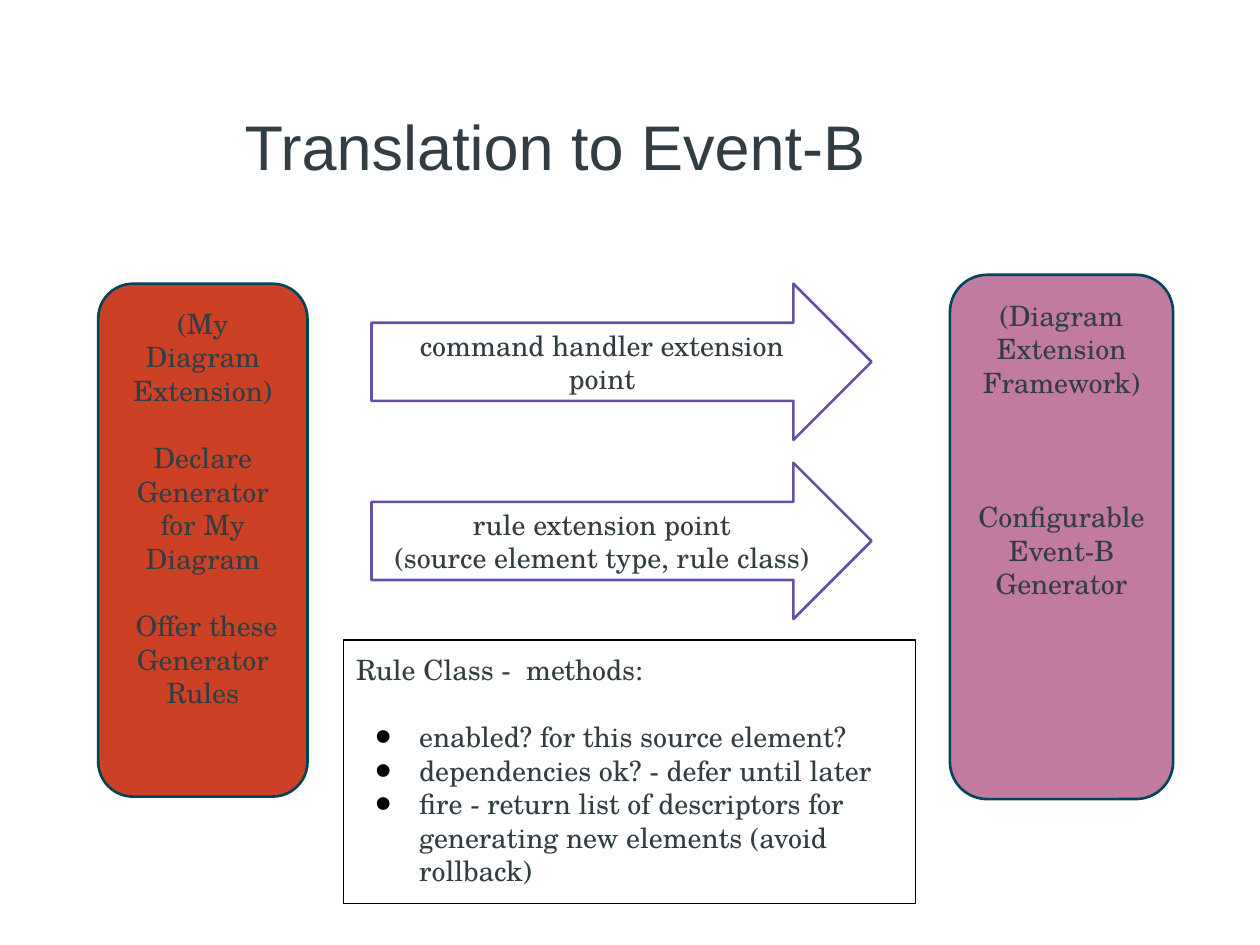
from dataclasses import dataclass

from lxml import etree
from pptx import Presentation
from pptx.dml.color import RGBColor
from pptx.enum import shapes, text
from pptx.oxml.ns import qn
from pptx.util import Cm, Pt


@dataclass(frozen=True)
class Theme:
    ink: str = "323D43"
    black: str = "000000"
    white: str = "FFFFFF"
    red: str = "CC4125"
    pink: str = "C27BA0"
    card_line: str = "014359"
    arrow_line: str = "674EA7"
    title_font: str = "Arial"
    body_font: str = "TeX Gyre Schola"
    title_size: float = 36
    body_size: float = 16
    blank_line: float = 19.2


T = Theme()
CENTER, LEFT = text.PP_ALIGN.CENTER, text.PP_ALIGN.LEFT
TOP, MIDDLE, BOTTOM = (text.MSO_ANCHOR.TOP, text.MSO_ANCHOR.MIDDLE,
                       text.MSO_ANCHOR.BOTTOM)


def place(sp, box):
    sp.left, sp.top, sp.width, sp.height = (Cm(v) for v in box)


def outline(sp, color, width):
    sp.line.color.rgb = RGBColor.from_string(color)
    sp.line.width = Pt(width)


def write(sp, lines, align, anchor, gaps=None, font=T.body_font, size=T.body_size):
    tf = sp.text_frame
    tf.word_wrap = True
    tf.auto_size = text.MSO_AUTO_SIZE.NONE
    tf.vertical_anchor = anchor
    tf.margin_left = tf.margin_right = tf.margin_top = tf.margin_bottom = Cm(0.25)
    for i, line in enumerate(lines):
        p = tf.paragraphs[0] if i == 0 else tf.add_paragraph()
        p.alignment = align
        p.space_before = Pt(T.blank_line * (gaps or {}).get(i, 0))
        p.space_after = Pt(0)
        r = p.add_run()
        r.text = line
        r.font.name = font
        r.font.size = Pt(size)
        r.font.color.rgb = RGBColor.from_string(T.ink)
    return tf.paragraphs


def indent(p, left, hanging):
    pPr = p._p.get_or_add_pPr()
    pPr.set("marL", str(Cm(left)))
    pPr.set("indent", str(-Cm(hanging)))
    return pPr


def bullet(p):
    pPr = indent(p, 1.27, 0.89)
    color = etree.SubElement(pPr, qn("a:buClr"))
    etree.SubElement(color, qn("a:srgbClr")).set("val", T.black)
    etree.SubElement(pPr, qn("a:buSzPct")).set("val", "167000")
    etree.SubElement(pPr, qn("a:buFont")).set("typeface", T.title_font)
    etree.SubElement(pPr, qn("a:buChar")).set("char", "•")


def block(s, kind, box, fill, line):
    sp = s.shapes.add_shape(kind, *(Cm(v) for v in box))
    sp.shadow.inherit = False
    sp.fill.solid()
    sp.fill.fore_color.rgb = RGBColor.from_string(fill)
    outline(sp, line, 1.5)
    return sp


def title(s, box, words):
    sp = s.shapes.title
    place(sp, box)
    write(sp, [words], CENTER, BOTTOM, font=T.title_font, size=T.title_size)


def card(s, box, fill, lines, blank_lines):
    sp = block(s, shapes.MSO_SHAPE.ROUNDED_RECTANGLE, box, fill, T.card_line)
    gaps = {i: blank_lines for i in range(1, len(lines))}
    write(sp, lines, CENTER, TOP, gaps)


def arrows(s, box, labels, pitch):
    left, top, width, height = box
    for i, lines in enumerate(labels):
        sp = block(s, shapes.MSO_SHAPE.RIGHT_ARROW,
                   (left, top + i * pitch, width, height), T.white, T.arrow_line)
        write(sp, lines, CENTER, MIDDLE)


def rule_panel(s, box, heading, methods):
    sp = s.placeholders[1]
    place(sp, box)
    outline(sp, T.black, 0.75)
    head, *items = write(sp, [heading, *methods], LEFT, TOP, {1: 1})
    etree.SubElement(indent(head, 0, 0), qn("a:buNone"))
    for p in items:
        bullet(p)


prs = Presentation()
prs.slide_width, prs.slide_height = Cm(25.4), Cm(19.05)
s = prs.slides.add_slide(prs.slide_layouts[1])

title(s, (1.27, 0.76, 19.84, 3.18), "Translation to Event-B")
card(s, (1.98, 5.72, 4.22, 10.34), T.red,
     ["(My Diagram Extension)", "Declare Generator for My Diagram",
      " Offer these Generator Rules"], 1)
card(s, (19.15, 5.54, 4.5, 10.57), T.pink,
     ["(Diagram Extension Framework)", "Configurable Event-B Generator"], 3)
arrows(s, (7.49, 5.72, 10.08, 3.15),
       [["command handler extension point"],
        ["rule extension point", "(source element type, rule class)"]], 3.61)
rule_panel(s, (6.93, 12.9, 11.53, 5.31), "Rule Class -  methods:",
           ["enabled? for this source element?",
            "dependencies ok? - defer until later",
            "fire - return list of descriptors for generating new elements "
            "(avoid rollback)"])

prs.save("out.pptx")
